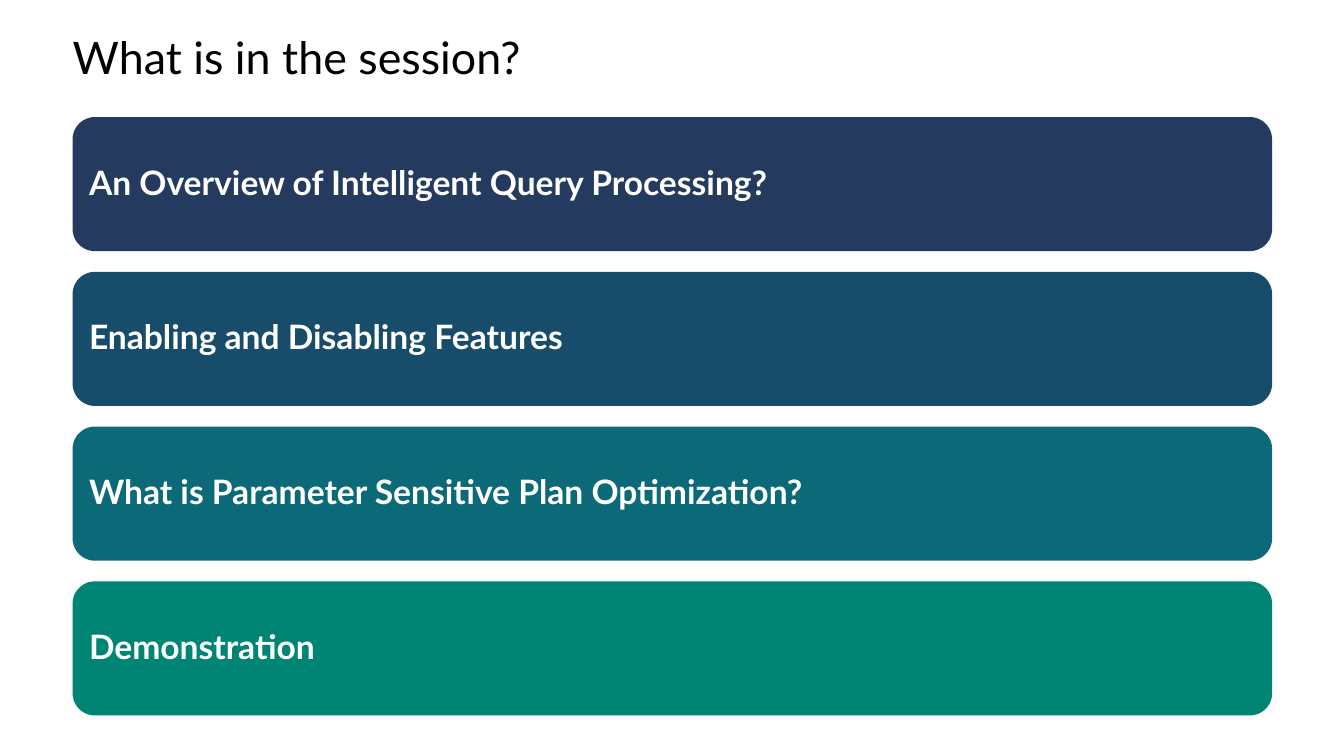
"""Build the session agenda slide: a title above four coloured topic bars."""
from dataclasses import dataclass

from pptx import Presentation
from pptx import util as u
from pptx.dml.color import RGBColor
from pptx.enum import shapes, text

COLORS = {
    "black": "000000",
    "white": "FFFFFF",
    "navy": "243A5E",
    "blue": "184C6B",
    "teal": "0C6A78",
    "green": "008575",
}
FONT = "Lato"
LEFT, WIDTH = 1.83, 30.23
BAR_TOP, BAR_HEIGHT, BAR_PITCH = 2.95, 3.38, 3.9


@dataclass
class Topic:
    """One bar of the agenda."""
    label: str
    color: str


TOPICS = [
    Topic("An Overview of Intelligent Query Processing?", "navy"),
    Topic("Enabling and Disabling Features", "blue"),
    Topic("What is Parameter Sensitive Plan Optimization?", "teal"),
    Topic("Demonstration", "green"),
]


def rgb(name: str) -> RGBColor:
    """Return the named colour."""
    return RGBColor.from_string(COLORS[name])


def set_text(sp, content: str, *, size: float, color: str, bold: bool = False,
             inset: float = 0, anchor=text.MSO_ANCHOR.MIDDLE) -> None:
    """Write one left-aligned paragraph into a shape."""
    tf = sp.text_frame
    tf.word_wrap = True
    tf.auto_size = text.MSO_AUTO_SIZE.NONE
    tf.vertical_anchor = anchor
    tf.margin_left = tf.margin_right = u.Cm(inset)
    tf.margin_top = tf.margin_bottom = u.Cm(inset)
    p = tf.paragraphs[0]
    p.alignment = text.PP_ALIGN.LEFT
    p.line_spacing = 0.9
    r = p.add_run()
    r.text = content
    r.font.name = FONT
    r.font.size = u.Pt(size)
    r.font.bold = bold
    r.font.color.rgb = rgb(color)


def add_title(s, content: str) -> None:
    """Place and fill the title placeholder."""
    sp = s.shapes.title
    sp.left, sp.top = u.Cm(LEFT), u.Cm(0.89)
    sp.width, sp.height = u.Cm(WIDTH), u.Cm(1.27)
    sp.fill.solid()
    sp.fill.fore_color.rgb = rgb("white")
    set_text(sp, content, size=32, color="black", anchor=text.MSO_ANCHOR.TOP)


def add_bar(s, topic: Topic, top: float) -> None:
    """Draw one rounded bar with its label."""
    sp = s.shapes.add_shape(shapes.MSO_SHAPE.ROUNDED_RECTANGLE, u.Cm(LEFT),
                            u.Cm(top), u.Cm(WIDTH), u.Cm(BAR_HEIGHT))
    sp.shadow.inherit = False
    sp.fill.solid()
    sp.fill.fore_color.rgb = rgb(topic.color)
    sp.line.fill.background()
    set_text(sp, topic.label, size=24, color="white", bold=True, inset=0.25)


def main() -> None:
    """Build and save the presentation."""
    prs = Presentation()
    prs.slide_width, prs.slide_height = u.Cm(33.87), u.Cm(19.05)
    s = prs.slides.add_slide(prs.slide_layouts.get_by_name("Title Only"))
    add_title(s, "What is in the session?")
    for i, topic in enumerate(TOPICS):
        add_bar(s, topic, BAR_TOP + i * BAR_PITCH)
    prs.save("out.pptx")


if __name__ == "__main__":
    main()
